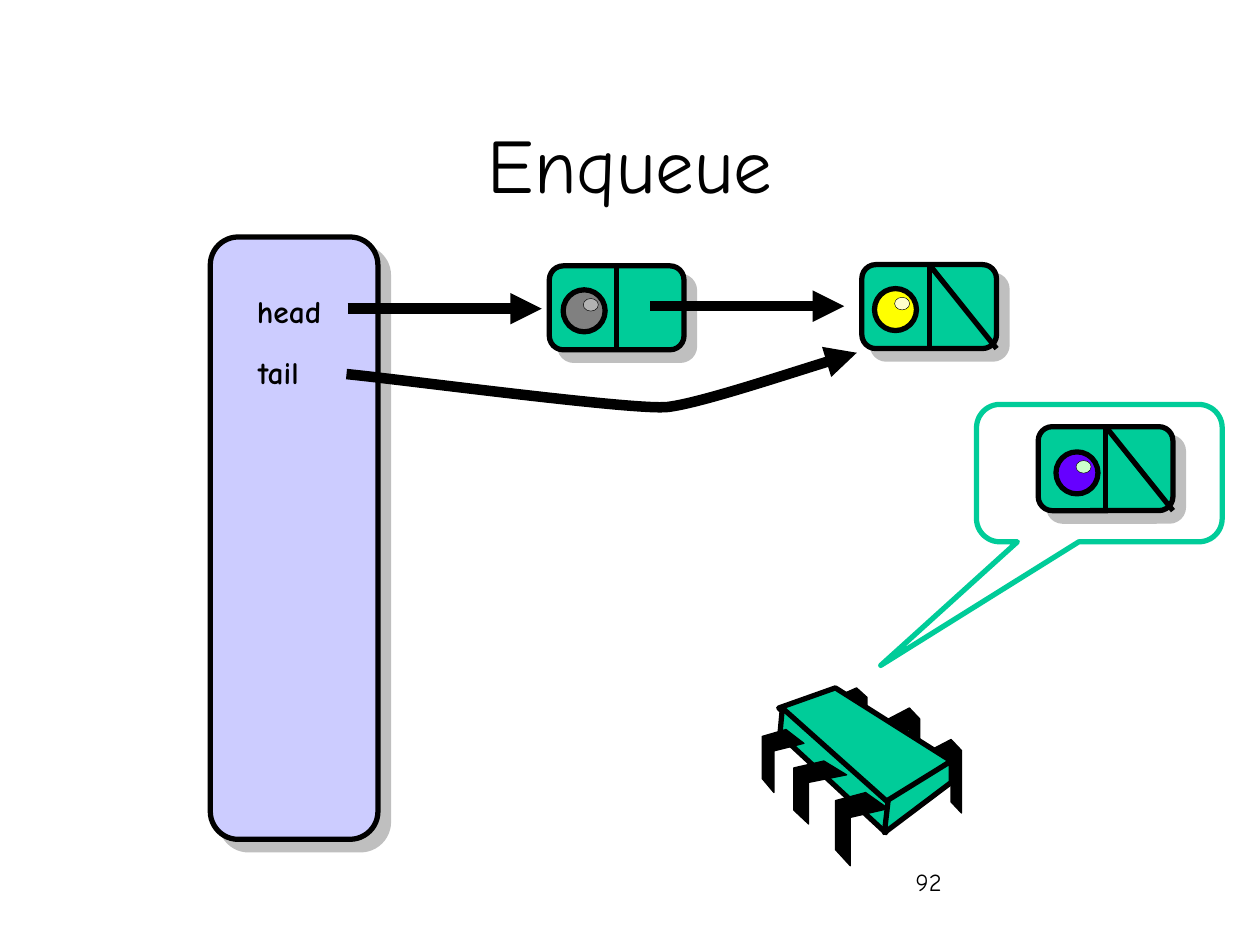
from lxml.etree import SubElement
from pptx import Presentation
from pptx.dml.color import RGBColor
from pptx.enum.shapes import MSO_CONNECTOR, MSO_SHAPE
from pptx.enum.text import MSO_ANCHOR, PP_ALIGN
from pptx.oxml.ns import qn
from pptx.util import Pt

FONT = "Comic Neue"
BLACK, GREEN, LILAC, SHADOW = "000000", "00CC99", "CCCCFF", "808080"
TITLE = ("Enqueue", (54, 48, 612, 90), 44)
PAGE_NUMBER = ("92", (516.2, 491.8, 149.8, 36), 14)
POINTERS = [("head", (137.5, 163.4, 55.4, 28.8)), ("tail", (137.5, 198, 43.2, 28.8))]
PANEL = (120.2, 135.4, 95.8, 344.2)
CALLOUT = (558, 231.1, 140.4, 78.5)
NODE_SIZE, BALL_SIZE, GLINT_SIZE = (77, 48), (24, 24), (8.6, 7.2)
GLINT_OFFSET = (11.5, 5)
NODES = [
    {"at": (313.9, 151.9), "ball": (7.9, 13.7), "colors": ("808080", "B2B2B2"), "last": False},
    {"at": (492.5, 151.2), "ball": (7.2, 13.7), "colors": ("FFFF00", "FFFFCC"), "last": True},
    {"at": (593.3, 243.8), "ball": (10.1, 14.4), "colors": ("6600FF", "CCFFCC"), "last": True},
]
LINKS = [((198.7, 176.4), (309.6, 176.4)), ((371.5, 175), (482.4, 175))]
TAIL_CURVE = [(198, 213.8), (228.2, 216.7), (362.9, 234.7), (381.6, 232.6),
              (399.6, 230.4), (467.3, 208.1), (489.6, 201.6)]

BACK_LEG = [(0, .15), (.67, 0), (1, .15), (1, 1), (.67, .85), (.67, .29), (0, .43)]
FRONT_LEG = [(.57, 0), (1, .22), (.28, .34), (.28, 1), (0, .78), (0, .11)]
BACK_LEGS = [(531.4, 422.6, 18, 42), (507.6, 404.6, 18, 42), (477.4, 393.1, 18, 36)]
FRONT_LEGS = [(477.4, 452.9, 30.2, 41.8), (453.6, 434.9, 30.2, 36), (435.6, 416.9, 23.8, 36)]
CHIP_FACES = [
    [(477.4, 393.1), (543.6, 434.9), (506.2, 460.1), (445, 404.6)],
    [(447.1, 404.6), (507.6, 458.6), (506.2, 475.9), (445.7, 419.8)],
    [(543.6, 434.9), (543.6, 447.1), (505.4, 475.9), (507.6, 457.2)],
]


def rgb(color):
    return RGBColor.from_string(color)


def points(values):
    return [Pt(value) for value in values]


def shift(point, offset):
    return tuple(a + b for a, b in zip(point, offset))


def paint(shape, fill, line, width):
    shape.shadow.inherit = False
    if fill:
        shape.fill.solid()
        shape.fill.fore_color.rgb = rgb(fill)
    else:
        shape.fill.background()
    shape.line.color.rgb = rgb(line)
    shape.line.width = Pt(width)
    return shape


def add_preset(shapes, kind, box, fill, line=BLACK, width=3):
    return paint(shapes.add_shape(kind, *points(box)), fill, line, width)


def add_outline(shapes, corners, fill, width, close=True):
    start, *rest = [points(corner) for corner in corners]
    builder = shapes.build_freeform(*start)
    builder.add_line_segments(rest, close=close)
    return paint(builder.convert_to_shape(), fill, BLACK, width)


def add_line(shapes, start, end, width):
    line = shapes.add_connector(MSO_CONNECTOR.STRAIGHT, *points(start + end))
    line.line.color.rgb = rgb(BLACK)
    line.line.width = Pt(width)
    SubElement(line._element.spPr, qn("a:effectLst"))
    return line


def add_arrowhead(shape):
    SubElement(shape.line._get_or_add_ln(), qn("a:tailEnd"), type="triangle")


def add_shadow(shape):
    effects = shape._element.spPr.find(qn("a:effectLst"))
    shadow = SubElement(effects, qn("a:outerShdw"), blurRad="0", dist=str(Pt(8.5)),
                        dir="2700000", algn="ctr", rotWithShape="0")
    color = SubElement(shadow, qn("a:srgbClr"), val=SHADOW)
    SubElement(color, qn("a:alpha"), val="50000")


def bend(shape):
    path = shape._element.spPr.find(".//" + qn("a:path"))
    segments = path.findall(qn("a:lnTo"))
    for first in range(0, len(segments), 3):
        curve = SubElement(path, qn("a:cubicBezTo"))
        for segment in segments[first:first + 3]:
            curve.append(segment[0])
            path.remove(segment)


def write(frame, text, size, align, bold=False):
    frame.text = text
    paragraph = frame.paragraphs[0]
    paragraph.alignment = align
    font = paragraph.runs[0].font
    font.name, font.size, font.bold = FONT, Pt(size), bold
    font.color.rgb = rgb(BLACK)


def add_node(slide, node):
    shapes = slide.shapes.add_group_shape().shapes
    left, top = node["at"]
    width, height = NODE_SIZE
    middle = left + width / 2
    cell = add_preset(shapes, MSO_SHAPE.ROUNDED_RECTANGLE, node["at"] + NODE_SIZE, GREEN)
    add_shadow(cell)
    divider = add_line(shapes, (middle, top), (middle, top + height), 3)
    divider.begin_connect(cell, 0)
    divider.end_connect(cell, 2)
    if node["last"]:
        add_line(shapes, (middle, top), (left + width, top + height), 3)
    ball = shift(node["at"], node["ball"])
    ball_color, glint_color = node["colors"]
    add_preset(shapes, MSO_SHAPE.OVAL, ball + BALL_SIZE, ball_color)
    add_preset(shapes, MSO_SHAPE.OVAL, shift(ball, GLINT_OFFSET) + GLINT_SIZE,
               glint_color, width=0.25)


def add_legs(shapes, outline, boxes):
    for left, top, width, height in boxes:
        corners = [(left + x * width, top + y * height) for x, y in outline]
        add_outline(shapes, corners, BLACK, 0.75)


def add_chip(slide):
    shapes = slide.shapes.add_group_shape().shapes
    add_legs(shapes, BACK_LEG, BACK_LEGS)
    for face in CHIP_FACES:
        add_outline(shapes, face, GREEN, 3)
    add_legs(shapes, FRONT_LEG, FRONT_LEGS)


def main():
    deck = Presentation()
    deck.slide_width, deck.slide_height = Pt(720), Pt(540)
    slide = deck.slides.add_slide(deck.slide_layouts[5])
    shapes = slide.shapes

    text, box, size = TITLE
    title = shapes.title
    title.left, title.top, title.width, title.height = points(box)
    write(title.text_frame, text, size, PP_ALIGN.CENTER)
    title.text_frame.vertical_anchor = MSO_ANCHOR.MIDDLE

    text, box, size = PAGE_NUMBER
    number = shapes.add_textbox(*points(box)).text_frame
    number.word_wrap = True
    write(number, text, size, PP_ALIGN.LEFT)

    add_shadow(add_preset(shapes, MSO_SHAPE.ROUNDED_RECTANGLE, PANEL, LILAC))
    for text, box in POINTERS:
        label = shapes.add_textbox(*points(box)).text_frame
        label.word_wrap = False
        write(label, text, 18, PP_ALIGN.CENTER, bold=True)

    callout = add_preset(shapes, MSO_SHAPE.ROUNDED_RECTANGULAR_CALLOUT, CALLOUT, None, GREEN)
    for index, value in enumerate((-0.89, 1.4, 0.17)):
        callout.adjustments[index] = value
    for node in NODES:
        add_node(slide, node)

    for start, end in LINKS:
        add_arrowhead(add_line(shapes, start, end, 6))
    tail_link = add_outline(shapes, TAIL_CURVE, None, 6, close=False)
    bend(tail_link)
    add_arrowhead(tail_link)

    add_chip(slide)
    deck.save("out.pptx")


if __name__ == "__main__":
    main()
